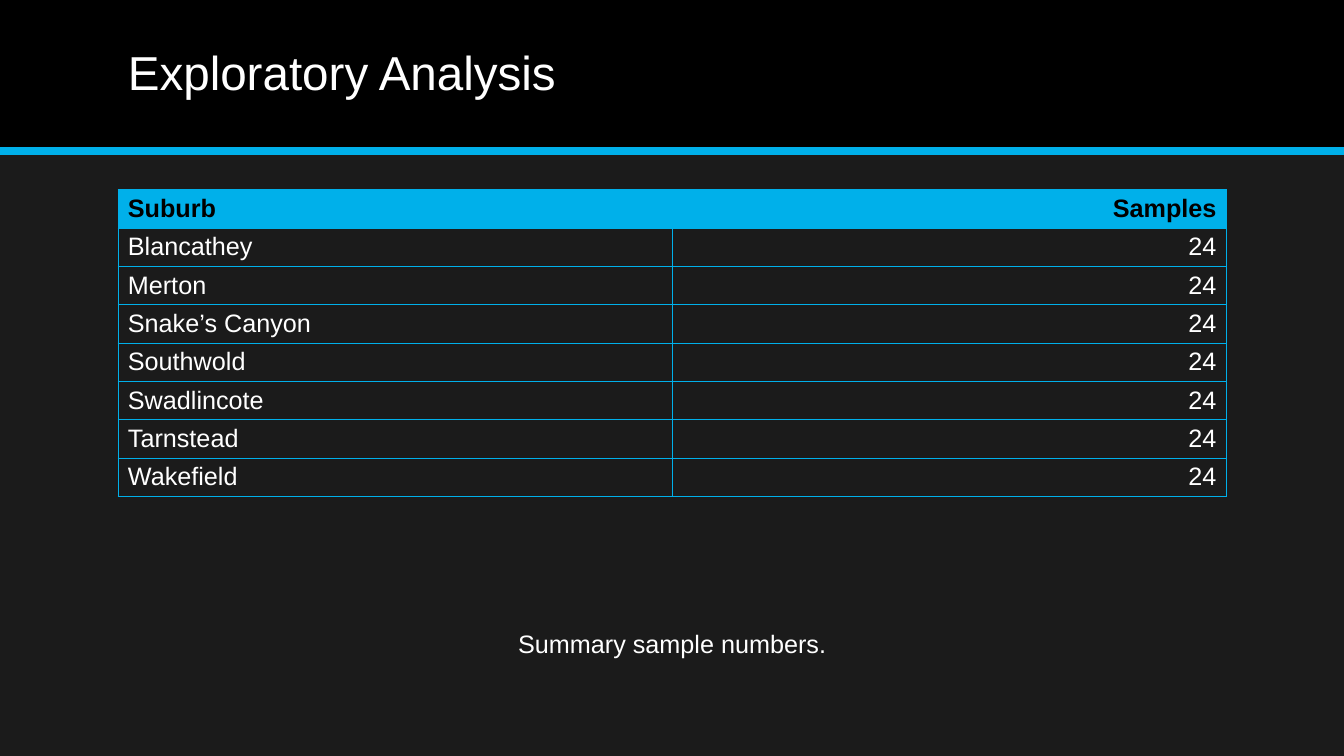
import pptx
import pptx.util
import pptx.oxml
import pptx.oxml.ns
import pptx.dml.color
import pptx.enum.text
import pptx.enum.shapes
from dataclasses import dataclass

Cm, Pt = pptx.util.Cm, pptx.util.Pt
Align = pptx.enum.text.PP_ALIGN

# Content
HEADING = "Exploratory Analysis"
CAPTION = "Summary sample numbers."
ROWS = [
    ("Suburb", "Samples"),
    ("Blancathey", "24"),
    ("Merton", "24"),
    ("Snake’s Canyon", "24"),
    ("Southwold", "24"),
    ("Swadlincote", "24"),
    ("Tarnstead", "24"),
    ("Wakefield", "24"),
]


@dataclass(frozen=True)
class Theme:
    font: str = "Arial"
    back: str = "1B1B1B"
    dark: str = "000000"
    light: str = "FFFFFF"
    accent: str = "00B0EA"
    title: float = 34
    body: float = 18
    rule: float = 6
    edge: float = 0.5


THEME = Theme()

# Layout
WIDTH, HEIGHT = Cm(33.87), Cm(19.05)
BAND = Cm(3.81)
LEFT, SPAN = Cm(2.97), Cm(27.94)
TOP, ROW = Cm(4.78), Cm(0.96)


def rgb(code):
    return pptx.dml.color.RGBColor.from_string(code)


def style(frame, size, color, align=Align.LEFT, bold=False):
    for par in frame.paragraphs:
        par.alignment = align
        for run in par.runs:
            run.font.name = THEME.font
            run.font.size = Pt(size)
            run.font.bold = bold
            run.font.color.rgb = rgb(color)


def border(cell):
    props = cell._tc.get_or_add_tcPr()
    for spot, side in enumerate("LRTB"):
        line = pptx.oxml.parse_xml(
            f'<a:ln{side} {pptx.oxml.ns.nsdecls("a")} w="{Pt(THEME.edge)}">'
            f'<a:solidFill><a:srgbClr val="{THEME.accent}"/></a:solidFill>'
            f'</a:ln{side}>')
        props.insert(spot, line)


def add_band(slide):
    shapes = slide.shapes
    band = shapes.add_shape(
        pptx.enum.shapes.MSO_SHAPE.RECTANGLE, 0, 0, WIDTH, BAND)
    band.shadow.inherit = False
    band.fill.solid()
    band.fill.fore_color.rgb = rgb(THEME.dark)
    band.line.fill.background()

    rule = shapes.add_connector(
        pptx.enum.shapes.MSO_CONNECTOR.STRAIGHT, 0, BAND, WIDTH, BAND)
    rule.line.color.rgb = rgb(THEME.accent)
    rule.line.width = Pt(THEME.rule)
    rule.element.spPr.append(pptx.oxml.parse_xml(
        f'<a:effectLst {pptx.oxml.ns.nsdecls("a")}/>'))

    # Keep both behind the title
    for part in (band, rule):
        shapes.title.element.addprevious(part.element)


def add_title(slide):
    title = slide.shapes.title
    title.left, title.top = LEFT, Cm(0.36)
    title.width, title.height = SPAN, Cm(3.05)
    frame = title.text_frame
    frame.text = HEADING
    frame.auto_size = pptx.enum.text.MSO_AUTO_SIZE.NONE
    frame.vertical_anchor = pptx.enum.text.MSO_ANCHOR.MIDDLE
    frame.paragraphs[0].line_spacing = 0.9
    style(frame, THEME.title, THEME.light)


def add_grid(slide):
    count = len(ROWS)
    grid = slide.shapes.add_table(
        count, 2, LEFT, TOP, SPAN, ROW * count).table
    grid.horz_banding = False
    for r, row in enumerate(ROWS):
        grid.rows[r].height = ROW
        head = r == 0
        for c, text in enumerate(row):
            cell = grid.cell(r, c)
            cell.text_frame.text = text
            if head:
                cell.fill.solid()
                cell.fill.fore_color.rgb = rgb(THEME.accent)
            else:
                cell.fill.background()
            border(cell)
            style(cell.text_frame, THEME.body,
                  THEME.dark if head else THEME.light,
                  Align.RIGHT if c else Align.LEFT, head)


def add_caption(slide):
    box = slide.shapes.add_textbox(LEFT, Cm(15.72), SPAN, Cm(1.42))
    frame = box.text_frame
    frame.word_wrap = True
    frame.text = CAPTION
    style(frame, THEME.body, THEME.light, Align.CENTER)


def main():
    deck = pptx.Presentation()
    deck.slide_width, deck.slide_height = WIDTH, HEIGHT
    slide = deck.slides.add_slide(deck.slide_layouts[5])
    slide.background.fill.solid()
    slide.background.fill.fore_color.rgb = rgb(THEME.back)
    add_band(slide)
    add_title(slide)
    add_grid(slide)
    add_caption(slide)
    deck.save("out.pptx")


if __name__ == "__main__":
    main()
